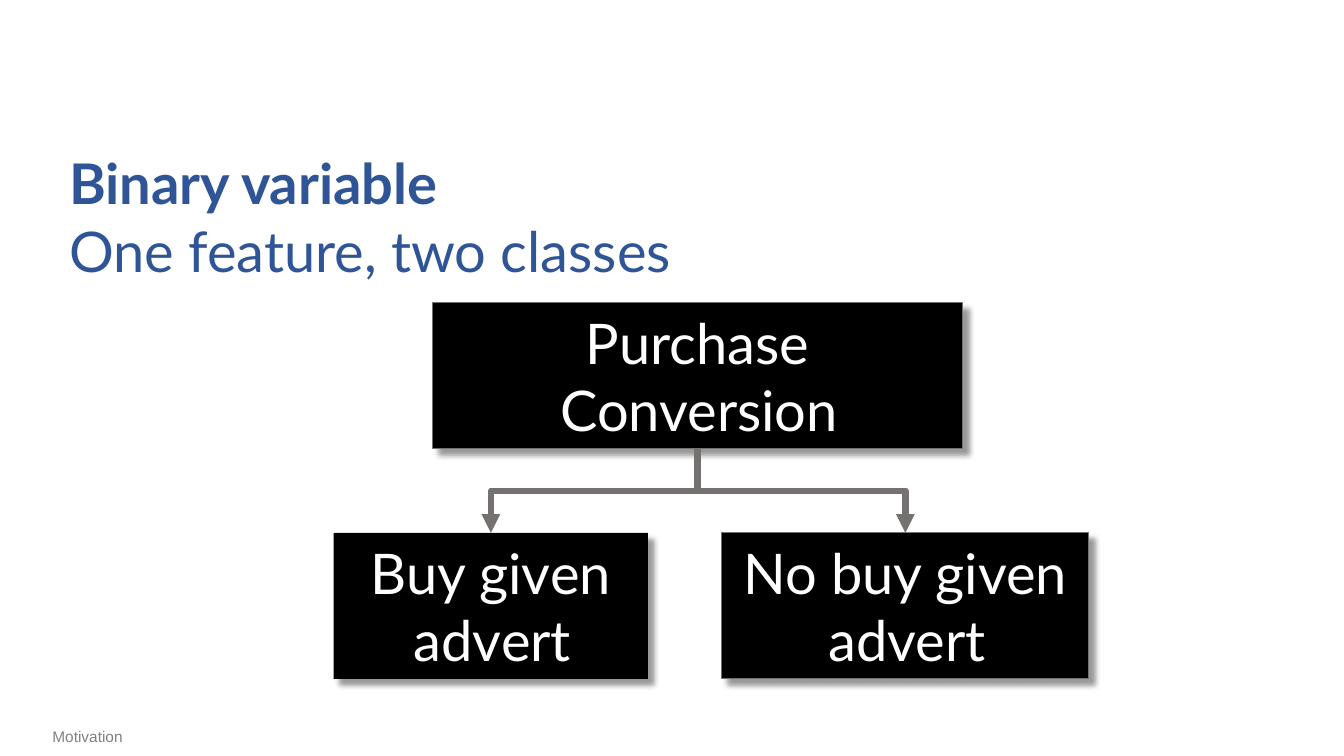
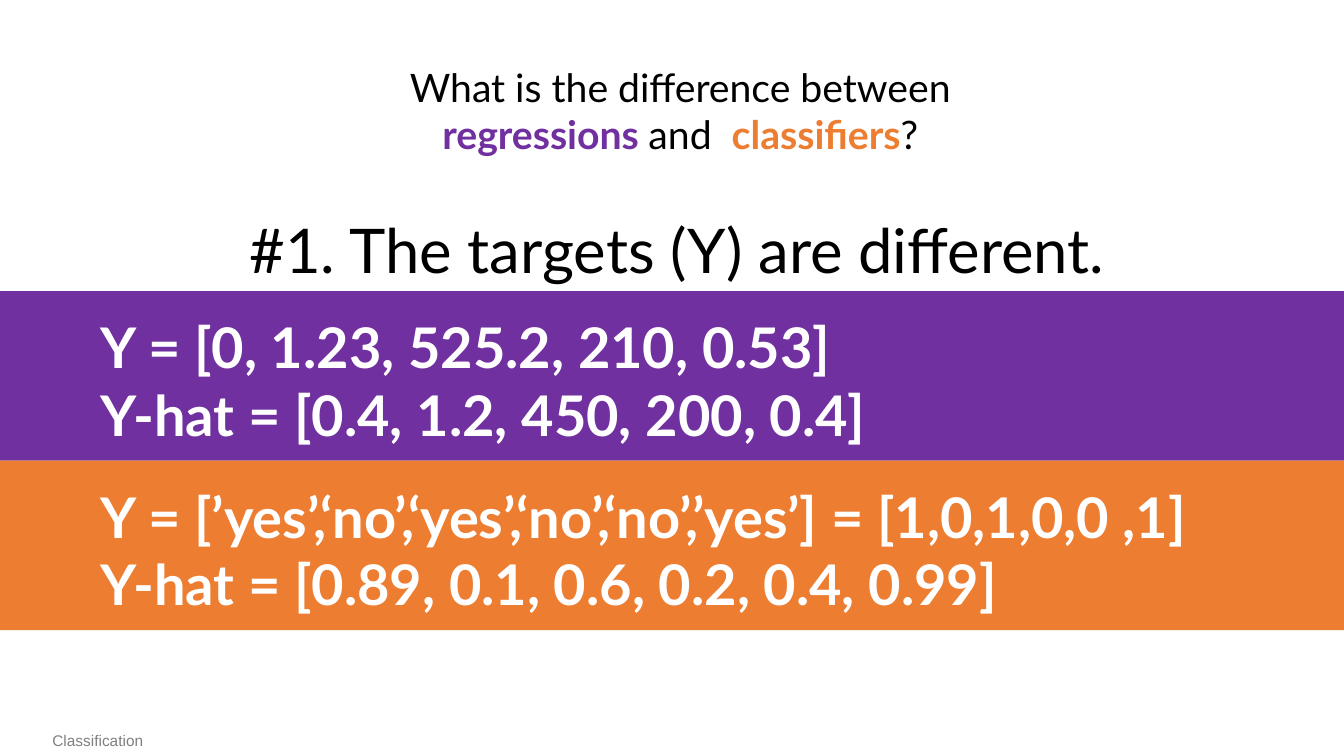
"""Build two slides on binary variables and on regressions versus classifiers."""
import pptx
import pptx.dml.color
import pptx.enum.shapes
import pptx.enum.text
import pptx.oxml
import pptx.oxml.ns
import pptx.util

Cm = pptx.util.Cm
Pt = pptx.util.Pt
RGBColor = pptx.dml.color.RGBColor
LEFT = pptx.enum.text.PP_ALIGN.LEFT
CENTER = pptx.enum.text.PP_ALIGN.CENTER
RECTANGLE = pptx.enum.shapes.MSO_SHAPE.RECTANGLE
ELBOW = pptx.enum.shapes.MSO_CONNECTOR.ELBOW

BLACK = RGBColor(0x00, 0x00, 0x00)
WHITE = RGBColor(0xFF, 0xFF, 0xFF)
FOOTER_GRAY = RGBColor(0x80, 0x80, 0x80)
LINE_GRAY = RGBColor(0x76, 0x71, 0x71)
BLUE = RGBColor(0x2F, 0x55, 0x97)
PURPLE = RGBColor(0x70, 0x30, 0xA0)
ORANGE = RGBColor(0xED, 0x7D, 0x31)

SLIDE_WIDTH = Cm(33.87)
NAMESPACE = pptx.oxml.ns.nsdecls("a")
BOX_SHADOW = (
    f'<a:effectLst {NAMESPACE}><a:outerShdw blurRad="{Pt(4)}" dist="{Pt(6)}" dir="2700000" '
    'algn="tl" rotWithShape="0"><a:srgbClr val="000000"><a:alpha val="40000"/></a:srgbClr>'
    "</a:outerShdw></a:effectLst>"
)


def write(shape, paragraphs, size, alignment=LEFT, font="Lato", hanging=0):
    """Fill a shape with paragraphs, each a list of (text, color, bold) runs."""
    frame = shape.text_frame
    frame.word_wrap = True
    for index, runs in enumerate(paragraphs):
        paragraph = frame.add_paragraph() if index else frame.paragraphs[0]
        paragraph.alignment = alignment
        if hanging:
            properties = paragraph._p.get_or_add_pPr()
            properties.set("marL", str(hanging))
            properties.set("indent", str(-hanging))
        for text, color, bold in runs:
            run = paragraph.add_run()
            run.text = text
            run.font.name = font
            run.font.size = Pt(size)
            run.font.bold = bold
            run.font.color.rgb = color


def add_rectangle(slide, left, top, width, height, color):
    """Add a plain filled rectangle."""
    shape = slide.shapes.add_shape(RECTANGLE, left, top, width, height)
    shape.shadow.inherit = False
    shape.fill.solid()
    shape.fill.fore_color.rgb = color
    shape.line.fill.background()
    return shape


presentation = pptx.Presentation()
presentation.slide_width = SLIDE_WIDTH
presentation.slide_height = Cm(19.05)
slides = []
for footer_text, footer_top in (("Motivation", 18.21), ("Classification", 18.31)):
    slide = presentation.slides.add_slide(presentation.slide_layouts[6])
    footer = slide.shapes.add_textbox(Cm(1.07), Cm(footer_top), Cm(5.77), Cm(0.74))
    write(footer, [[(footer_text, FOOTER_GRAY, False)]], 11, font="Arial")
    slides.append(slide)
variable_slide, targets_slide = slides

HANGING = Cm(0.08)
boxes = []
for text, left, top, width, outlined in (
    ("Purchase Conversion", 10.9, 7.62, 13.36, True),
    ("Buy given advert", 8.41, 13.43, 7.92, False),
    ("No buy given advert", 18.19, 13.43, 9.25, True),
):
    box = add_rectangle(variable_slide, Cm(left), Cm(top), Cm(width), Cm(3.68), BLACK)
    if outlined:
        box.line.color.rgb = LINE_GRAY
        box.line.width = Pt(0.75)
    properties = box._element.spPr
    properties.remove(properties.find(pptx.oxml.ns.qn("a:effectLst")))
    properties.append(pptx.oxml.parse_xml(BOX_SHADOW))
    box.text_frame.margin_left = box.text_frame.margin_right = Cm(0.4)
    box.text_frame.vertical_anchor = pptx.enum.text.MSO_ANCHOR.MIDDLE
    write(box, [[(text, WHITE, False)]], 40, CENTER, hanging=HANGING)
    boxes.append(box)

root, *children = boxes
for child in children:
    connector = variable_slide.shapes.add_connector(ELBOW, 0, 0, 0, 0)
    connector.begin_connect(root, 2)
    connector.end_connect(child, 0)
    start_x, start_y = connector.begin_x, connector.begin_y
    end_x, end_y = connector.end_x, connector.end_y
    drop, span = end_y - start_y, abs(end_x - start_x)
    connector.left = (start_x + end_x - drop) // 2
    connector.top = (start_y + end_y - span) // 2
    connector.width, connector.height = drop, span
    goes_right = end_x > start_x
    transform = connector._element.spPr.xfrm
    transform.set("rot", str((270 if goes_right else 90) * 60000))
    transform.set("flipH", "1" if goes_right else "0")
    connector.line.color.rgb = LINE_GRAY
    connector.line.width = Pt(4.5)
    connector.line._get_or_add_ln().append(
        pptx.oxml.parse_xml(f'<a:tailEnd {NAMESPACE} type="triangle"/>')
    )
    connector._element.spPr.append(pptx.oxml.parse_xml(f"<a:effectLst {NAMESPACE}/>"))

title = variable_slide.shapes.add_textbox(Cm(1.5), Cm(3.63), Cm(20.83), Cm(3.68))
title_lines = [[("Binary variable", BLUE, True)], [("One feature, two classes", BLUE, False)]]
write(title, title_lines, 40, hanging=HANGING)

question = targets_slide.shapes.add_textbox(Cm(5.08), Cm(1.47), Cm(24.38), Cm(2.64))
question_lines = [
    [("What is the difference between ", BLACK, False)],
    [
        ("regressions ", PURPLE, True),
        ("and  ", BLACK, False),
        ("classifiers", ORANGE, True),
        ("? ", BLACK, False),
    ],
]
write(question, question_lines, 28, CENTER)

answer = targets_slide.shapes.add_textbox(Cm(5.08), Cm(5.21), Cm(24.38), Cm(2.13))
write(answer, [[("#1. The targets (Y) are different. ", BLACK, False)]], 44, CENTER)

BAND_TOP = Cm(7.34)
BAND_HEIGHT = Cm(4.27)
bands = (
    (PURPLE, "Y = [0, 1.23, 525.2, 210, 0.53]", "Y-hat = [0.4, 1.2, 450, 200, 0.4]"),
    (
        ORANGE,
        "Y = [’yes’,‘no’,‘yes’,‘no’,‘no’,’yes’] = [1,0,1,0,0 ,1]",
        "Y-hat = [0.89, 0.1, 0.6, 0.2, 0.4, 0.99]",
    ),
)
for index, (color, *lines) in enumerate(bands):
    top = BAND_TOP + index * BAND_HEIGHT
    add_rectangle(targets_slide, 0, top, SLIDE_WIDTH, BAND_HEIGHT, color)
    example = targets_slide.shapes.add_textbox(Cm(2.29), top + Cm(0.42), Cm(30), Cm(3.68))
    write(example, [[(line, WHITE, True)] for line in lines], 40)

presentation.save("out.pptx")
